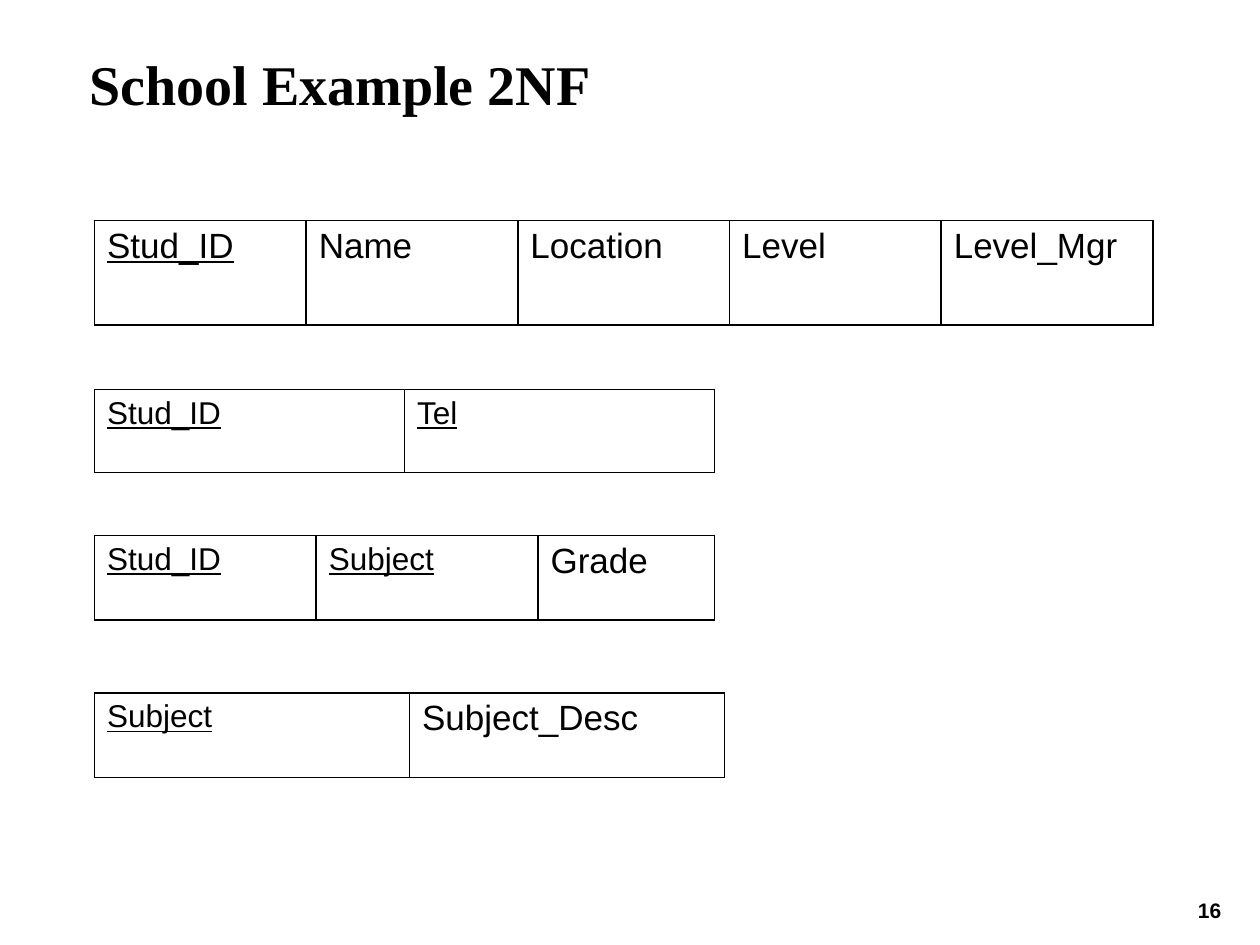
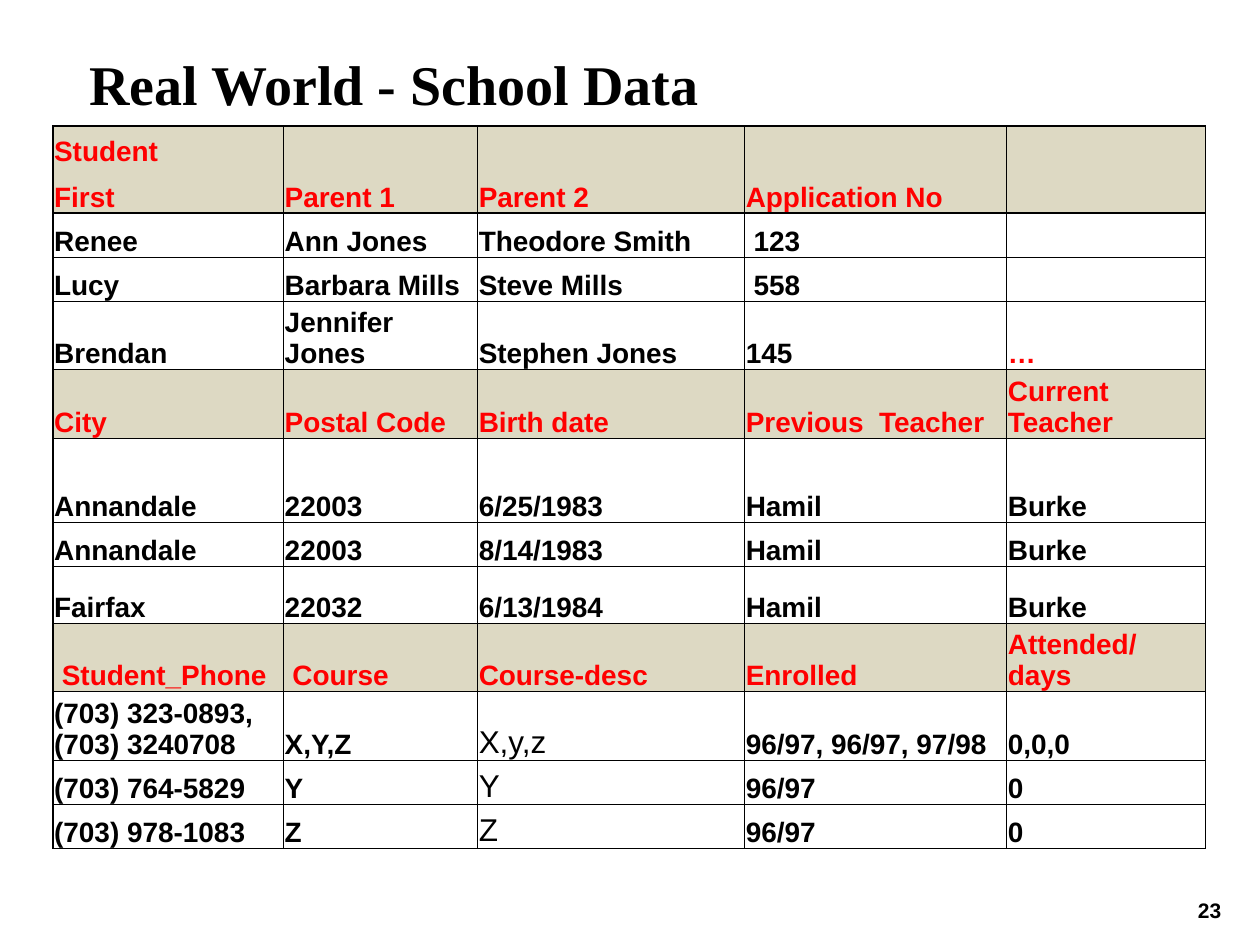
from dataclasses import dataclass

from lxml import etree
from pptx import Presentation
from pptx.dml.color import RGBColor
from pptx.enum.text import MSO_ANCHOR, PP_ALIGN
from pptx.oxml.ns import qn
from pptx.util import Inches, Pt

TOP, BOTTOM = MSO_ANCHOR.TOP, MSO_ANCHOR.BOTTOM
CENTER = PP_ALIGN.CENTER

COLORS = {"ink": "000000", "heading": "FF0000", "band": "DDD9C3", "paper": "FFFFFF"}
BODY_FONT, TITLE_FONT = "Arial", "Times New Roman"
THICK, THIN, HIDDEN = 1, 0.5, 0
BLANK_LAYOUT = 6


@dataclass(frozen=True)
class Style:
    size: float
    bold: bool = False
    underline: bool = False
    color: str = "ink"
    font: str = BODY_FONT


@dataclass(frozen=True)
class Field:
    name: str
    size: float
    key: bool = False


@dataclass(frozen=True)
class Relation:
    top: float
    height: float
    widths: tuple[float, ...]
    fields: tuple[Field, ...]


@dataclass(frozen=True)
class Borders:
    left: float = THICK
    right: float = THICK
    top: float = THICK
    bottom: float = THICK


TITLE_STYLE = Style(32, bold=True, font=TITLE_FONT)
NUMBER_STYLE = Style(12, bold=True)

RELATIONS = (
    Relation(1.75, 0.83, (1.68,) * 5, (
        Field("Stud_ID", 20, key=True), Field("Name", 20), Field("Location", 20),
        Field("Level", 20), Field("Level_Mgr", 20))),
    Relation(3.09, 0.66, (2.46,) * 2, (
        Field("Stud_ID", 18, key=True), Field("Tel", 18, key=True))),
    Relation(4.25, 0.67, (1.76, 1.76, 1.4), (
        Field("Stud_ID", 18, key=True), Field("Subject", 18, key=True), Field("Grade", 20))),
    Relation(5.5, 0.67, (2.5,) * 2, (
        Field("Subject", 18, key=True), Field("Subject_Desc", 20))),
)

SCHOOL_WIDTHS = (1.83, 1.54, 2.12, 2.08, 1.58)
SCHOOL_HEIGHTS = (0.33, 0.36, 0.35, 0.35, 0.54, 0.54, 0.67, 0.35, 0.45, 0.54, 0.54, 0.35, 0.35)
HEADING_ROWS = (0, 1, 5, 9)
SCHOOL_ROWS = (
    ("Student", "", "", "", ""),
    ("First", "Parent 1", "Parent 2", "Application No", ""),
    ("Renee", "Ann Jones", "Theodore Smith", " 123", ""),
    ("Lucy", "Barbara Mills", "Steve Mills", " 558", ""),
    ("Brendan", "Jennifer Jones", "Stephen Jones", "145", "…"),
    ("City", "Postal Code", "Birth date", "Previous  Teacher", "Current\nTeacher"),
    ("Annandale", "22003", "6/25/1983", "Hamil", "Burke"),
    ("Annandale", "22003", "8/14/1983", "Hamil", "Burke"),
    ("Fairfax", "22032", "6/13/1984", "Hamil", "Burke"),
    (" Student_Phone", " Course", "Course-desc", "Enrolled", "Attended/ days"),
    ("(703) 323-0893, (703) 3240708", "X,Y,Z", "X,y,z", "96/97, 96/97, 97/98", "0,0,0"),
    ("(703) 764-5829", "Y", "Y", "96/97", "0"),
    ("(703) 978-1083", "Z", "Z", "96/97", "0"),
)
DESCRIPTION_COLUMN = 2


def rgb(name: str) -> RGBColor:
    return RGBColor.from_string(COLORS[name])


def write(frame, text: str, style: Style) -> None:
    frame.text = text
    for paragraph in frame.paragraphs:
        for run in paragraph.runs:
            run.font.name = style.font
            run.font.size = Pt(style.size)
            run.font.bold = style.bold
            run.font.underline = style.underline
            run.font.color.rgb = rgb(style.color)


def add_label(slide, text: str, box: tuple[float, ...], style: Style):
    frame = slide.shapes.add_textbox(*map(Inches, box)).text_frame
    frame.word_wrap = True
    write(frame, text, style)
    return frame


def add_titled_slide(deck, title: str, number: str):
    slide = deck.slides.add_slide(deck.slide_layouts[BLANK_LAYOUT])
    slide.background.fill.solid()
    slide.background.fill.fore_color.rgb = rgb("paper")
    heading = add_label(slide, title, (0.71, 0.33, 8.29, 1.03), TITLE_STYLE)
    heading.margin_left = heading.margin_right = heading.margin_bottom = 0
    heading.margin_top = Inches(0.06)
    footer = add_label(slide, number, (9.35, 7.1, 0.5, 0.28), NUMBER_STYLE)
    footer.paragraphs[0].alignment = CENTER
    footer.paragraphs[0].line_spacing = 0.9
    return slide


def add_grid(slide, left: float, top: float, widths: tuple[float, ...], heights: tuple[float, ...]):
    grid = slide.shapes.add_table(
        len(heights), len(widths), Inches(left), Inches(top),
        Inches(sum(widths)), Inches(sum(heights))).table
    grid.first_row = grid.horz_banding = False
    for column, width in zip(grid.columns, widths):
        column.width = Inches(width)
    for row, height in zip(grid.rows, heights):
        row.height = Inches(height)
    return grid


def draw_borders(cell, borders: Borders) -> None:
    properties = cell._tc.get_or_add_tcPr()
    edges = {"a:lnL": borders.left, "a:lnR": borders.right,
             "a:lnT": borders.top, "a:lnB": borders.bottom}
    for tag, weight in edges.items():
        line = etree.SubElement(properties, qn(tag), w=str(Pt(weight)))
        if weight == HIDDEN:
            etree.SubElement(line, qn("a:noFill"))
        else:
            fill = etree.SubElement(line, qn("a:solidFill"))
            etree.SubElement(fill, qn("a:srgbClr"), val=COLORS["ink"])


def fill_cell(cell, text: str, style: Style, borders: Borders, band: bool = False) -> None:
    write(cell.text_frame, text, style)
    draw_borders(cell, borders)
    if band:
        cell.fill.solid()
        cell.fill.fore_color.rgb = rgb("band")
    else:
        cell.fill.background()


def add_relation(slide, relation: Relation) -> None:
    grid = add_grid(slide, 0.75, relation.top, relation.widths, (relation.height,))
    for cell, field in zip(grid.rows[0].cells, relation.fields):
        cell.vertical_anchor = TOP
        fill_cell(cell, field.name, Style(field.size, underline=field.key), Borders())


def row_edge(index: int) -> float:
    if index == 1:
        return HIDDEN
    return THICK if index in (0, 2) else THIN


def school_style(row: int, column: int, text: str) -> Style:
    if row in HEADING_ROWS or text == "…":
        return Style(16, bold=True, color="heading")
    if row > HEADING_ROWS[-1] and column == DESCRIPTION_COLUMN:
        return Style(18)
    return Style(16, bold=True)


def add_school_data(slide) -> None:
    grid = add_grid(slide, 0.42, 1, SCHOOL_WIDTHS, SCHOOL_HEIGHTS)
    last_column = len(SCHOOL_WIDTHS) - 1
    for row, texts in enumerate(SCHOOL_ROWS):
        for column, text in enumerate(texts):
            cell = grid.cell(row, column)
            cell.vertical_anchor = BOTTOM
            cell.margin_left = cell.margin_right = cell.margin_top = Inches(0.01)
            cell.margin_bottom = 0
            borders = Borders(
                left=THICK if column == 0 else THIN,
                right=THICK if column == last_column else THIN,
                top=row_edge(row), bottom=row_edge(row + 1))
            fill_cell(cell, text, school_style(row, column, text), borders, row in HEADING_ROWS)


def main() -> None:
    deck = Presentation()
    deck.slide_width, deck.slide_height = Inches(10), Inches(7.5)
    normal_form = add_titled_slide(deck, "School Example 2NF", "16")
    for relation in RELATIONS:
        add_relation(normal_form, relation)
    add_school_data(add_titled_slide(deck, "Real World - School Data", "23"))
    deck.save("out.pptx")


if __name__ == "__main__":
    main()
